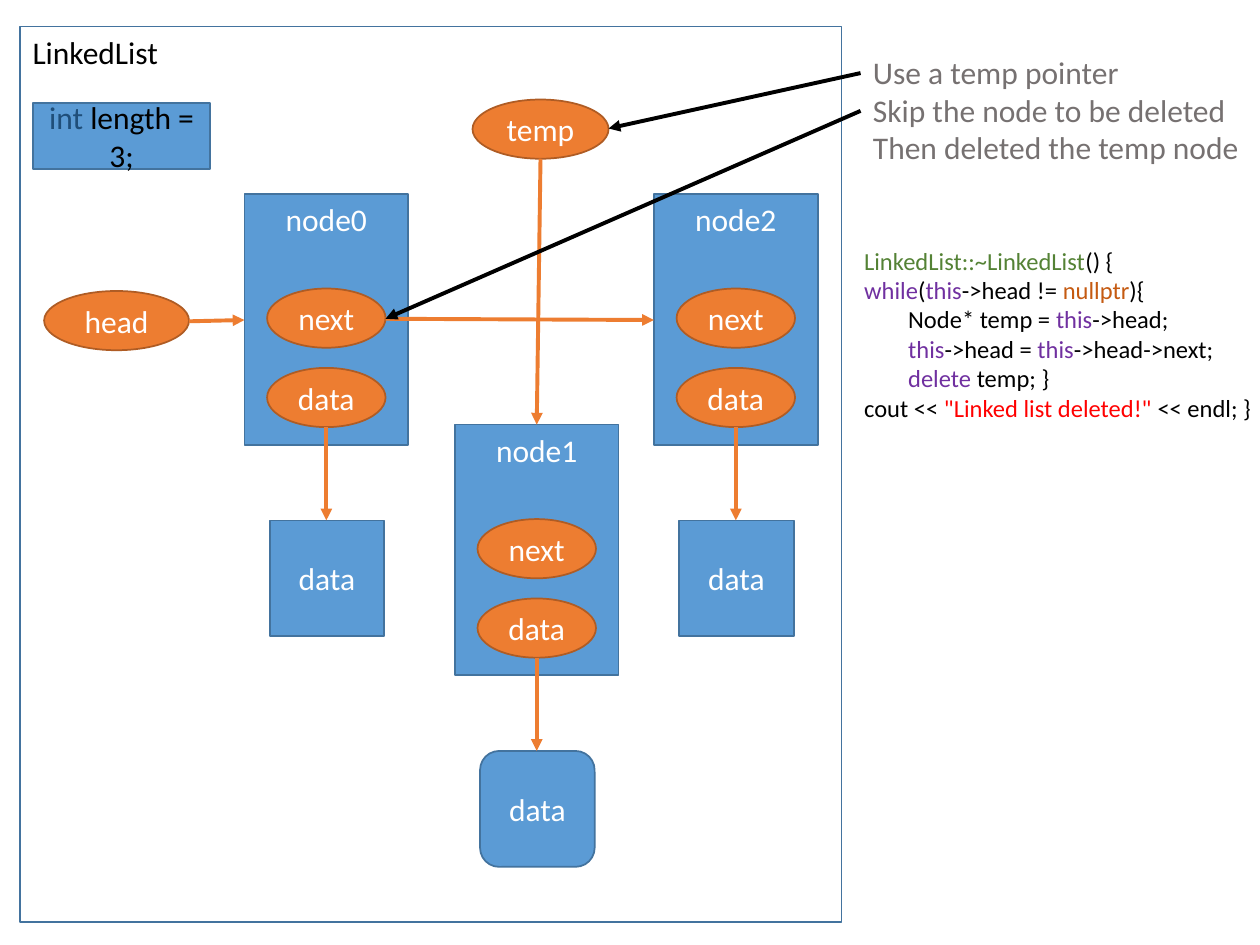
from pptx import Presentation
from pptx.dml.color import RGBColor
from pptx.enum import shapes, text
from pptx.oxml import ns
from pptx.util import Inches, Pt
from lxml import etree

BLUE = RGBColor(0x5B, 0x9B, 0xD5)
EDGE = RGBColor(0x43, 0x73, 0x9E)
NAVY = RGBColor(0x1F, 0x4E, 0x79)
ORANGE = RGBColor(0xED, 0x7D, 0x31)
RUST = RGBColor(0xAF, 0x5C, 0x24)
AMBER = RGBColor(0xC5, 0x5A, 0x11)
GREEN = RGBColor(0x54, 0x82, 0x35)
PURPLE = RGBColor(0x70, 0x30, 0xA0)
RED = RGBColor(0xFF, 0, 0)
GRAY = RGBColor(0x76, 0x71, 0x71)
BLACK = RGBColor(0, 0, 0)
WHITE = RGBColor(0xFF, 0xFF, 0xFF)

KIND = shapes.MSO_SHAPE
TOP, MIDDLE = text.MSO_ANCHOR.TOP, text.MSO_ANCHOR.MIDDLE
LEFT, CENTER = text.PP_ALIGN.LEFT, text.PP_ALIGN.CENTER

# Each line of code: indent in inches, then its coloured runs.
CODE = [
    (0, [("LinkedList::~LinkedList", GREEN), ("() {", BLACK)]),
    (0, [("while", PURPLE), ("(", BLACK), ("this", PURPLE),
         ("->head != ", BLACK), ("nullptr", AMBER), ("){", BLACK)]),
    (0.35, [("Node* temp = ", BLACK), ("this", PURPLE), ("->head;", BLACK)]),
    (0.35, [("this", PURPLE), ("->head =", BLACK), (" this", PURPLE),
            ("->head->next;", BLACK)]),
    (0.35, [("delete", PURPLE), (" temp; }", BLACK)]),
    (0, [("cout << ", BLACK), ('"Linked list deleted!" ', RED),
         ("<< endl; }", BLACK)]),
]


def write(shape, lines, size=18, align=CENTER, anchor=MIDDLE, wrap=True):
    """Fill a shape with lines, each an indent and a list of coloured runs."""
    frame = shape.text_frame
    frame.word_wrap = wrap
    frame.vertical_anchor = anchor
    for i, (indent, runs) in enumerate(lines):
        para = frame.add_paragraph() if i else frame.paragraphs[0]
        para.alignment = align
        if indent:
            para._p.get_or_add_pPr().set("marL", str(Inches(indent)))
        for words, color in runs:
            run = para.add_run()
            run.text = words
            run.font.name = "Calibri"
            run.font.size = Pt(size)
            run.font.color.rgb = color


def block(slide, kind, x, y, w, h, runs, fill=BLUE, edge=EDGE, **form):
    """Draw a labelled shape; fill None leaves it open."""
    shape = slide.shapes.add_shape(kind, Inches(x), Inches(y), Inches(w), Inches(h))
    shape.shadow.inherit = False
    if fill is None:
        shape.fill.background()
    else:
        shape.fill.solid()
        shape.fill.fore_color.rgb = fill
    shape.line.color.rgb = edge
    shape.line.width = Pt(1)
    write(shape, [(0, runs)], **form)


def oval(slide, x, y, w, label):
    """Draw an orange pointer oval."""
    block(slide, KIND.OVAL, x, y, w, 0.47, [(label, WHITE)], ORANGE, RUST)


def arrow(slide, x1, y1, x2, y2, color=ORANGE):
    """Draw a straight arrow that points at its second end."""
    line = slide.shapes.add_connector(
        shapes.MSO_CONNECTOR.STRAIGHT, Inches(x1), Inches(y1), Inches(x2), Inches(y2))
    line.line.color.rgb = color
    line.line.width = Pt(2.25)
    etree.SubElement(line.line._get_or_add_ln(), ns.qn("a:tailEnd"), type="triangle")
    etree.SubElement(line._element.spPr, ns.qn("a:effectLst"))


def node(slide, x, y, label, kind=KIND.RECTANGLE):
    """Draw a list node with its two fields and the data it points to."""
    block(slide, KIND.RECTANGLE, x, y, 1.3, 1.99, [(label, WHITE)], anchor=TOP)
    oval(slide, x + 0.18, y + 0.75, 0.94, "next")
    oval(slide, x + 0.18, y + 1.38, 0.94, "data")
    block(slide, kind, x + 0.2, y + 2.59, 0.91, 0.92, [("data", WHITE)])
    arrow(slide, x + 0.65, y + 1.85, x + 0.65, y + 2.59)


def note(slide, x, y, w, h, lines, **form):
    """Add a text box that grows with its text."""
    box = slide.shapes.add_textbox(Inches(x), Inches(y), Inches(w), Inches(h))
    write(box, lines, align=LEFT, anchor=TOP, **form)
    box.text_frame.auto_size = text.MSO_AUTO_SIZE.SHAPE_TO_FIT_TEXT


def main():
    """Build the slide and save it."""
    deck = Presentation()
    deck.slide_width, deck.slide_height = Inches(10), Inches(7.5)
    slide = deck.slides.add_slide(deck.slide_layouts[6])

    block(slide, KIND.RECTANGLE, 0.16, 0.21, 6.52, 7.11,
          [("LinkedList", BLACK)], fill=None, align=LEFT, anchor=TOP)
    block(slide, KIND.RECTANGLE, 0.26, 0.82, 1.41, 0.52,
          [("int", NAVY), (" length = 3;", BLACK)])

    node(slide, 1.94, 1.54, "node0")
    node(slide, 3.61, 3.37, "node1", KIND.ROUNDED_RECTANGLE)
    node(slide, 5.19, 1.54, "node2")

    oval(slide, 0.35, 2.31, 1.15, "head")
    oval(slide, 3.75, 0.79, 1.08, "temp")
    arrow(slide, 1.5, 2.55, 1.94, 2.54)
    arrow(slide, 3.06, 2.53, 5.19, 2.54)
    arrow(slide, 4.29, 1.26, 4.26, 3.37)

    note(slide, 6.83, 0.37, 3.17, 1.01, [
        (0, [("Use a temp pointer", GRAY)]),
        (0, [("Skip the node to be deleted Then deleted the temp node", GRAY)]),
    ])
    arrow(slide, 6.83, 0.58, 4.83, 1.02, BLACK)
    arrow(slide, 6.83, 0.88, 3.06, 2.53, BLACK)
    note(slide, 6.76, 1.9, 3.3, 1.51, CODE, size=14, wrap=False)

    deck.save("out.pptx")


main()
